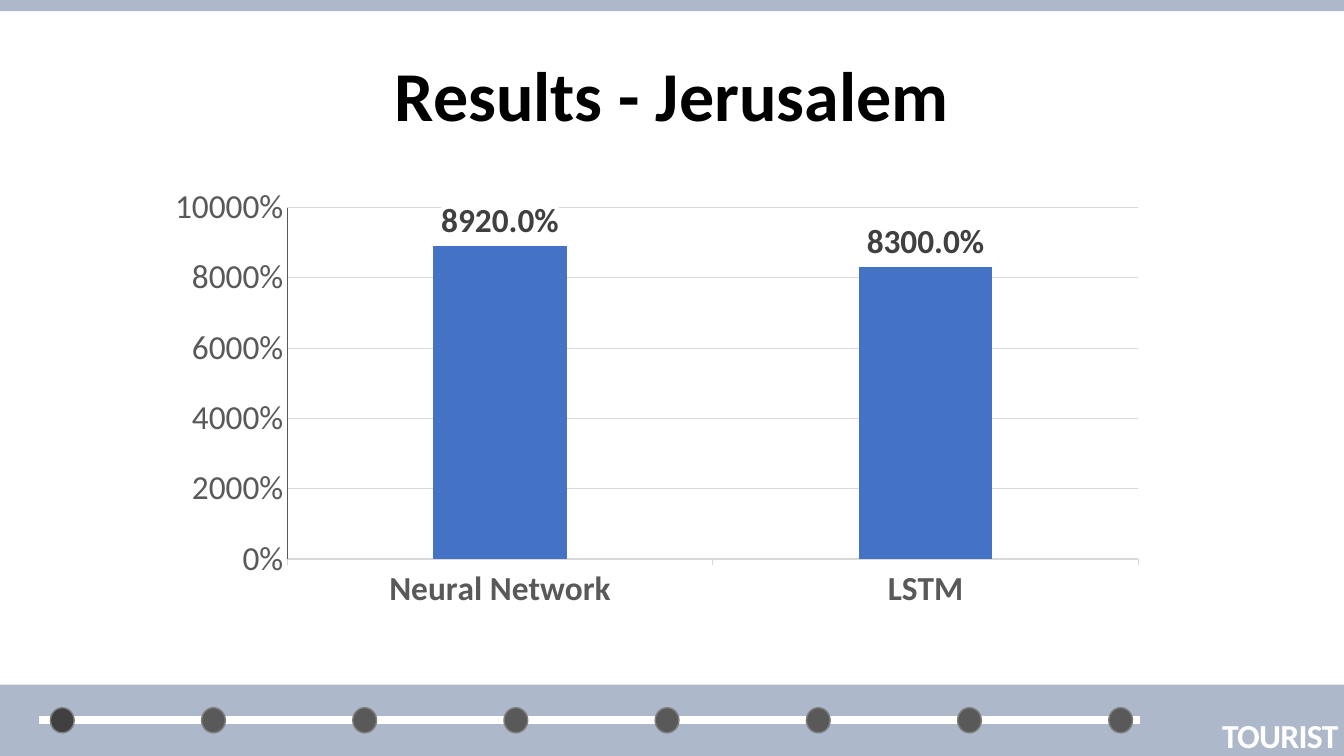
from lxml.etree import SubElement
from pptx import Presentation
from pptx.chart.data import CategoryChartData
from pptx.dml.color import RGBColor
from pptx.enum.chart import XL_CHART_TYPE, XL_LABEL_POSITION, XL_TICK_MARK
from pptx.enum.shapes import MSO_CONNECTOR, MSO_SHAPE
from pptx.enum.text import MSO_ANCHOR, PP_ALIGN
from pptx.oxml import parse_xml
from pptx.oxml.ns import nsdecls, qn
from pptx.util import Pt

HUES = {
    "band": "ADB9CA", "white": "FFFFFF", "black": "000000", "dark": "404040",
    "dot": "595959", "rim": "808080", "bar": "4472C4", "grid": "D9D9D9",
}
FACE = "Calibri"


def hue(name):
    return RGBColor.from_string(HUES[name])


def apply(item, form):
    for key, value in form.items():
        setattr(item, key, value)


def style(font, size, color, bold=False):
    apply(font, {"name": FACE, "size": Pt(size), "bold": bold})
    font.color.rgb = hue(color)


def stroke(line, color, width):
    line.color.rgb = hue(color)
    line.width = Pt(width)


def add_shape(slide, kind, box, fill, rim=None):
    shape = slide.shapes.add_shape(kind, *map(Pt, box))
    shape.shadow.inherit = False
    shape.fill.solid()
    shape.fill.fore_color.rgb = hue(fill)
    if rim:
        stroke(shape.line, rim, 1)
    else:
        shape.line.fill.background()


def add_track(slide, left, right, y):
    track = slide.shapes.add_connector(
        MSO_CONNECTOR.STRAIGHT, Pt(left), Pt(y), Pt(right), Pt(y))
    stroke(track.line, "white", 6)
    SubElement(track._element.spPr, qn("a:effectLst"))


def add_text(slide, box, text, size, color, space=0):
    frame = slide.shapes.add_textbox(*map(Pt, box)).text_frame
    apply(frame, {
        "word_wrap": True, "vertical_anchor": MSO_ANCHOR.MIDDLE,
        "margin_left": 0, "margin_right": 0,
        "margin_top": 0, "margin_bottom": 0,
    })
    para = frame.paragraphs[0]
    para.alignment = PP_ALIGN.CENTER
    run = para.add_run()
    run.text = text
    style(run.font, size, color, True)
    if space:
        run._r.get_or_add_rPr().set("spc", str(space))


def set_plot(chart, box):
    area = chart._chartSpace.chart.plotArea
    for old in area.findall(qn("c:layout")):
        area.remove(old)
    layout = parse_xml(f"<c:layout {nsdecls('c')}/>")
    manual = SubElement(layout, qn("c:manualLayout"))
    parts = [("layoutTarget", "inner"), ("xMode", "edge"), ("yMode", "edge")]
    for tag, value in parts + list(zip("xywh", box)):
        SubElement(manual, qn("c:" + tag)).set("val", str(value))
    area.insert(0, layout)


def set_axes(chart):
    cat, val = chart.category_axis, chart.value_axis
    apply(cat, {"major_tick_mark": XL_TICK_MARK.OUTSIDE,
                "minor_tick_mark": XL_TICK_MARK.NONE})
    apply(val, {"major_tick_mark": XL_TICK_MARK.NONE,
                "minor_tick_mark": XL_TICK_MARK.NONE,
                "minimum_scale": 0, "maximum_scale": 100,
                "major_unit": 20, "has_major_gridlines": True})
    apply(val.tick_labels, {"number_format": "0%",
                            "number_format_is_linked": False})
    style(cat.tick_labels.font, 24, "dot", True)
    style(val.tick_labels.font, 24, "dot")
    stroke(cat.format.line, "grid", 0.75)
    stroke(val.format.line, "dot", 0.75)
    stroke(val.major_gridlines.format.line, "grid", 0.75)


def set_labels(plot):
    plot.has_data_labels = True
    labels = plot.data_labels
    apply(labels, {"show_value": True, "number_format": "0.0%",
                   "number_format_is_linked": False,
                   "position": XL_LABEL_POSITION.OUTSIDE_END})
    style(labels.font, 24, "dark", True)
    back = parse_xml(
        f'<c:spPr {nsdecls("c", "a")}><a:solidFill>'
        f'<a:srgbClr val="{HUES["white"]}"/></a:solidFill></c:spPr>')
    labels._element.find(qn("c:numFmt")).addnext(back)


def add_bars(slide, box, cats, vals):
    data = CategoryChartData()
    data.categories = cats
    data.add_series("Series 1", vals)
    chart = slide.shapes.add_chart(
        XL_CHART_TYPE.COLUMN_CLUSTERED, *map(Pt, box), data).chart
    apply(chart, {"has_legend": False, "has_title": False})
    style(chart.font, 24, "black")
    set_plot(chart, (0.11, 0.09, 0.89, 0.77))
    set_axes(chart)
    plot = chart.plots[0]
    apply(plot, {"gap_width": 219, "overlap": -27,
                 "vary_by_categories": False})
    fill = plot.series[0].format.fill
    fill.solid()
    fill.fore_color.rgb = hue("bar")
    set_labels(plot)


def main():
    deck = Presentation()
    apply(deck, {"slide_width": Pt(960), "slide_height": Pt(540)})
    slide = deck.slides.add_slide(deck.slide_layouts[6])
    add_shape(slide, MSO_SHAPE.RECTANGLE, (0, 489, 960, 51), "band")
    add_track(slide, 28, 814, 514.5)
    for step in range(8):
        add_shape(slide, MSO_SHAPE.OVAL, (36 + 108 * step, 505.5, 17, 18),
                  "dot" if step else "dark", "rim")
    add_text(slide, (870, 508, 89, 34), "TOURIST", 24, "white", -50)
    add_shape(slide, MSO_SHAPE.RECTANGLE, (0, 0, 960, 8), "band")
    add_text(slide, (240, 33, 480, 68), "Results - Jerusalem", 50, "black")
    add_bars(slide, (125, 119, 688.5, 326),
             ["Neural Network", "LSTM"], [89.2, 83])
    deck.save("out.pptx")


if __name__ == "__main__":
    main()
